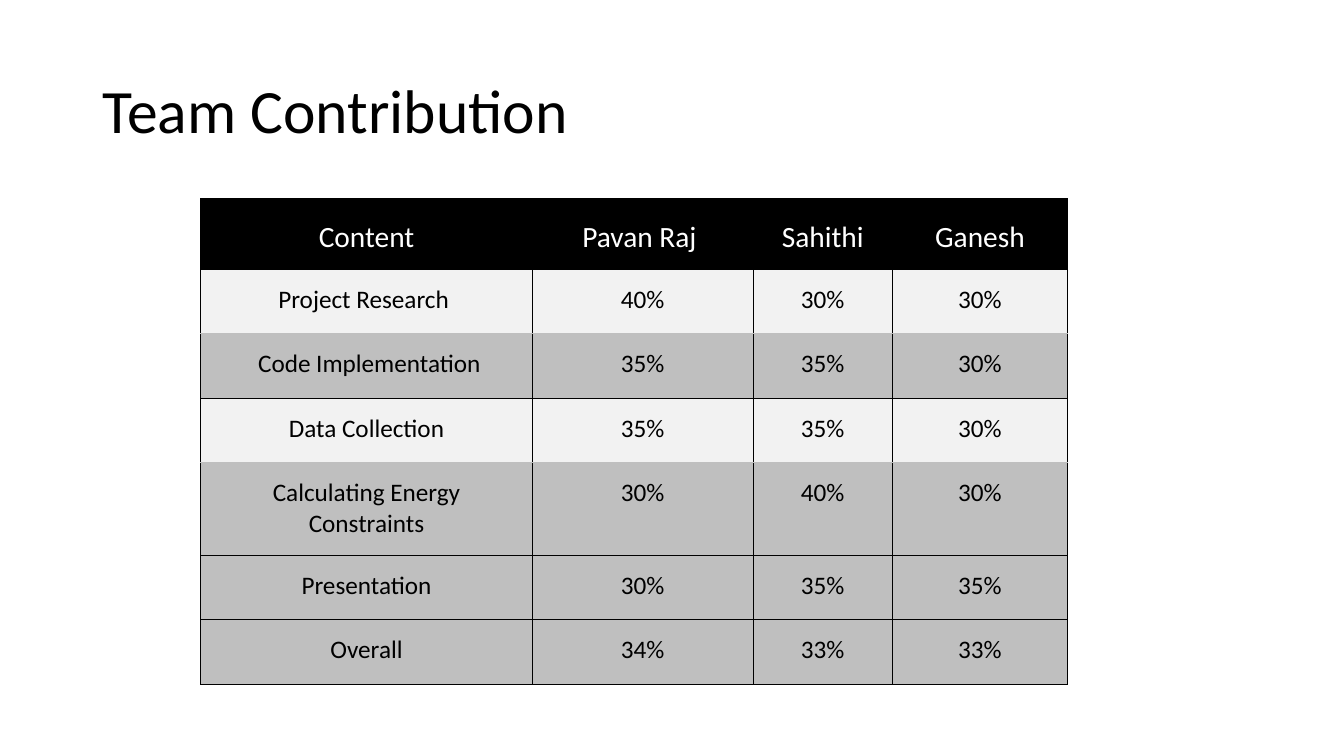
from lxml.etree import SubElement
from pptx import Presentation
from pptx.dml.color import RGBColor
from pptx.enum.text import MSO_ANCHOR, PP_ALIGN
from pptx.oxml.ns import qn
from pptx.util import Inches, Pt

BLACK, WHITE, LIGHT, GREY = "000000", "FFFFFF", "F2F2F2", "BFBFBF"


def color(value):
    return RGBColor.from_string(value)


def add_border(cell, side, line_color, width):
    line = SubElement(cell._tc.get_or_add_tcPr(), qn(f"a:{side}"), w=str(Pt(width)))
    fill = SubElement(line, qn("a:solidFill"))
    SubElement(fill, qn("a:srgbClr"), val=line_color)


presentation = Presentation()
presentation.slide_width = Inches(13.33)
presentation.slide_height = Inches(7.5)
slide = presentation.slides.add_slide(presentation.slide_layouts[6])

title = slide.shapes.add_textbox(Inches(0.92), Inches(0.4), Inches(11.5), Inches(1.45))
title.text_frame.word_wrap = True
title.text_frame.vertical_anchor = MSO_ANCHOR.MIDDLE
paragraph = title.text_frame.paragraphs[0]
paragraph.text = "Team Contribution"
paragraph.line_spacing = 0.9
paragraph.font.name = "Calibri"
paragraph.font.size = Pt(44)
paragraph.font.color.rgb = color(BLACK)

contributions = [
    ("Content", "Pavan Raj ", "Sahithi", "Ganesh"),
    ("Project Research ", "40%", "30%", "30%"),
    (" Code Implementation", "35%", "35%", "30%"),
    ("Data Collection", "35%", "35%", "30%"),
    ("Calculating Energy Constraints", "30%", "40%", "30%"),
    ("Presentation", "30%", "35%", "35%"),
    ("Overall", "34%", "33%", "33%"),
]
row_fills = [BLACK, LIGHT, GREY, LIGHT, GREY, GREY, GREY]
row_heights = [0.7, 0.64, 0.64, 0.64, 0.92, 0.64, 0.64]
column_widths = [3.29, 2.19, 1.38, 1.74]
cell_format = {
    "margin_left": Inches(0.15),
    "margin_top": Inches(0.15),
    "margin_right": Inches(0.15),
    "margin_bottom": Inches(0.07),
}

table = slide.shapes.add_table(
    len(row_heights), len(column_widths), Inches(1.99), Inches(1.97),
    Inches(sum(column_widths)), Inches(sum(row_heights)),
).table
for column, width in zip(table.columns, column_widths):
    column.width = Inches(width)

for row_index, (row, height) in enumerate(zip(table.rows, row_heights)):
    row.height = Inches(height)
    is_header = row_index == 0
    fill = row_fills[row_index]
    below_light = row_fills[row_index - 1] == LIGHT
    for cell, text in zip(row.cells, contributions[row_index]):
        for name, value in cell_format.items():
            setattr(cell, name, value)
        cell.vertical_anchor = MSO_ANCHOR.MIDDLE if is_header else MSO_ANCHOR.TOP
        paragraph = cell.text_frame.paragraphs[0]
        paragraph.text = text
        paragraph.alignment = PP_ALIGN.CENTER
        paragraph.font.name = "Calibri"
        paragraph.font.size = Pt(21 if is_header else 18)
        paragraph.font.bold = False
        paragraph.font.color.rgb = color(WHITE if is_header else BLACK)
        for side in ("lnL", "lnR", "lnT", "lnB"):
            soft = (side == "lnT" and below_light) or (side == "lnB" and fill == LIGHT)
            add_border(cell, side, GREY if soft else BLACK, 1 if soft else 0.75)
        cell.fill.solid()
        cell.fill.fore_color.rgb = color(fill)

presentation.save("out.pptx")
